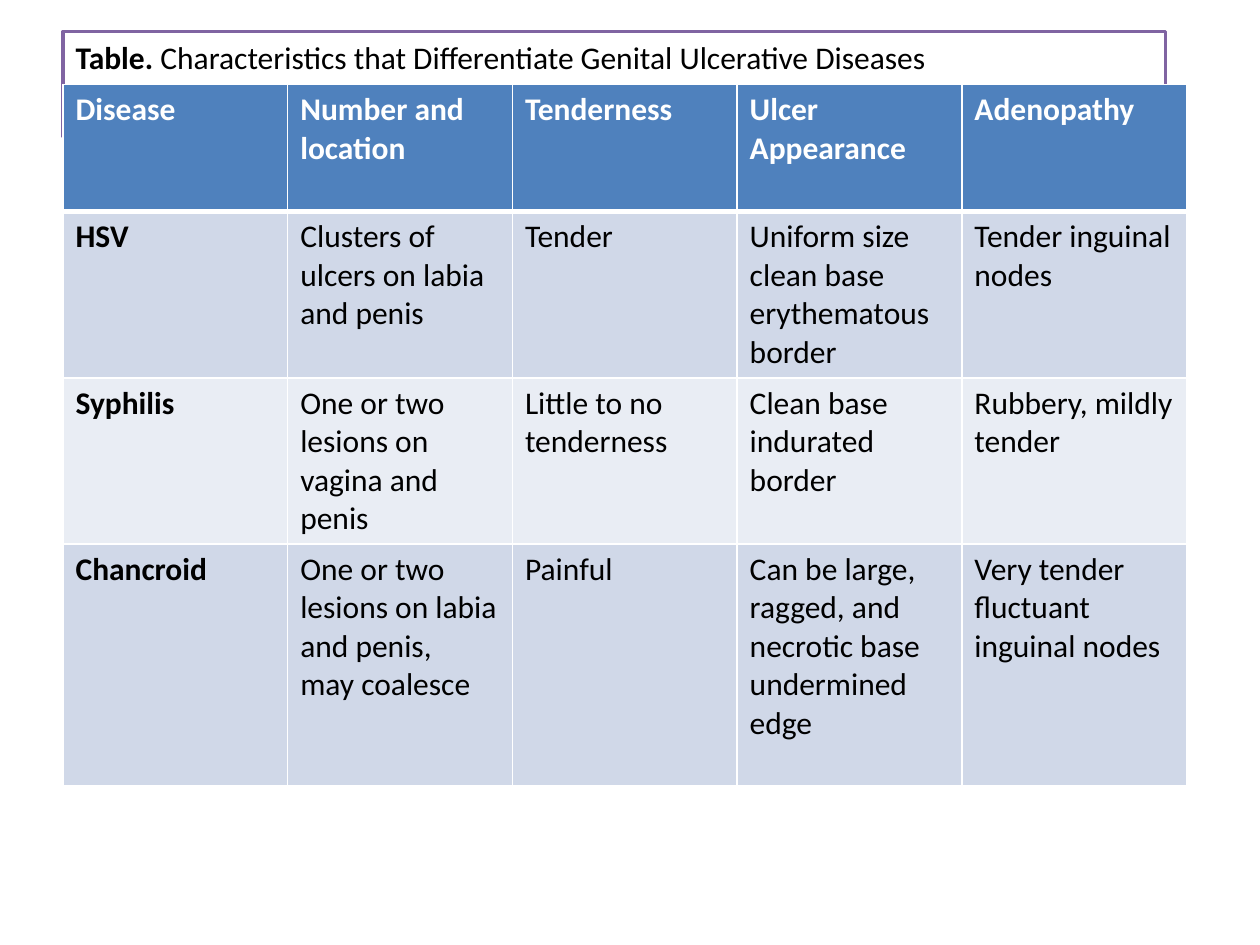
import pptx
import pptx.dml.color
import pptx.enum.text
import pptx.oxml
import pptx.oxml.ns
import pptx.util

RGBColor = pptx.dml.color.RGBColor
WHITE = RGBColor(0xFF, 0xFF, 0xFF)
BLACK = RGBColor(0, 0, 0)
HEADER_BLUE = RGBColor(0x4F, 0x81, 0xBD)
BAND_DARK = RGBColor(0xD0, 0xD8, 0xE8)
BAND_LIGHT = RGBColor(0xE9, 0xED, 0xF4)
PURPLE = RGBColor(0x80, 0x64, 0xA2)

DISEASES = [
    ["Disease", "Number and\nlocation", "Tenderness", "Ulcer Appearance", "Adenopathy"],
    ["HSV", "Clusters of ulcers on labia and penis", "Tender",
     "Uniform size clean base erythematous border", "Tender inguinal\nnodes"],
    ["Syphilis", "One or two lesions on vagina and penis", "Little to no tenderness",
     "Clean base indurated border", "Rubbery, mildly\ntender"],
    ["Chancroid", "One or two lesions on labia and penis,\nmay coalesce", "Painful",
     "Can be large, ragged, and necrotic base\nundermined edge",
     "Very tender\nfluctuant inguinal nodes"],
]
ROW_HEIGHTS = [4.04, 5.28, 5.28, 7.68]  # in grid rows


class SlideBuilder:
    """Style and current slide; lengths are cells of a 40 by 30 grid."""

    font_name = "Calibri"
    font_size = pptx.util.Pt(18)

    def __init__(self, presentation):
        self.column = presentation.slide_width / 40
        self.row = presentation.slide_height / 30
        self.slide = presentation.slides.add_slide(presentation.slide_layouts[5])

    def box(self, left, top, width, height):
        return (round(left * self.column), round(top * self.row),
                round(width * self.column), round(height * self.row))

    def add_run(self, paragraph, text, color, bold):
        run = paragraph.add_run()
        run.text = text
        run.font.name, run.font.size = self.font_name, self.font_size
        run.font.bold = bold
        run.font.color.rgb = color

    def caption(self, place, label, text):
        title = self.slide.shapes.title
        title.left, title.top, title.width, title.height = self.box(*place)
        title.fill.solid()
        title.fill.fore_color.rgb = WHITE
        title.line.color.rgb = PURPLE
        title.line.width = pptx.util.Pt(2)
        frame = title.text_frame
        frame.word_wrap = True
        frame.auto_size = pptx.enum.text.MSO_AUTO_SIZE.SHAPE_TO_FIT_TEXT
        frame.vertical_anchor = pptx.enum.text.MSO_ANCHOR.TOP
        paragraph = frame.paragraphs[0]
        paragraph.alignment = pptx.enum.text.PP_ALIGN.LEFT
        self.add_run(paragraph, label, BLACK, True)
        self.add_run(paragraph, text, BLACK, False)

    def border(self, cell, side, points):
        line = pptx.oxml.parse_xml(
            f'<a:ln{side} {pptx.oxml.ns.nsdecls("a")} w="{pptx.util.Pt(points)}">'
            f'<a:solidFill><a:srgbClr val="{WHITE}"/></a:solidFill></a:ln{side}>')
        cell._tc.get_or_add_tcPr().append(line)

    def cell(self, cell, text, row, column):
        header = row == 0
        # Borders come before the fill in the cell properties
        for side in "LRTB":
            heavy = (row, side) in ((0, "B"), (1, "T"))
            self.border(cell, side, 3 if heavy else 1)
        cell.fill.solid()
        cell.fill.fore_color.rgb = (
            HEADER_BLUE if header else BAND_DARK if row % 2 else BAND_LIGHT)
        paragraph = cell.text_frame.paragraphs[0]
        for index, line in enumerate(text.split("\n")):
            if index:
                paragraph.add_line_break()
            self.add_run(paragraph, line, WHITE if header else BLACK,
                         header or column == 0)

    def table(self, left, top, width, row_heights, rows):
        place = self.box(left, top, width, sum(row_heights))
        table = self.slide.shapes.add_table(len(rows), len(rows[0]), *place).table
        for row, (height, texts) in enumerate(zip(row_heights, rows)):
            table.rows[row].height = round(height * self.row)
            for column, text in enumerate(texts):
                self.cell(table.cell(row, column), text, row, column)


def main():
    presentation = pptx.Presentation()
    presentation.slide_width = pptx.util.Inches(10)
    presentation.slide_height = pptx.util.Inches(7.5)
    builder = SlideBuilder(presentation)

    # Caption above the table
    builder.caption((2, 1, 35, 1.6), "Table. ",
                    "Characteristics that Differentiate Genital Ulcerative Diseases")

    # Disease comparison
    builder.table(2, 2.68, 35.67, ROW_HEIGHTS, DISEASES)

    presentation.save("out.pptx")


if __name__ == "__main__":
    main()
